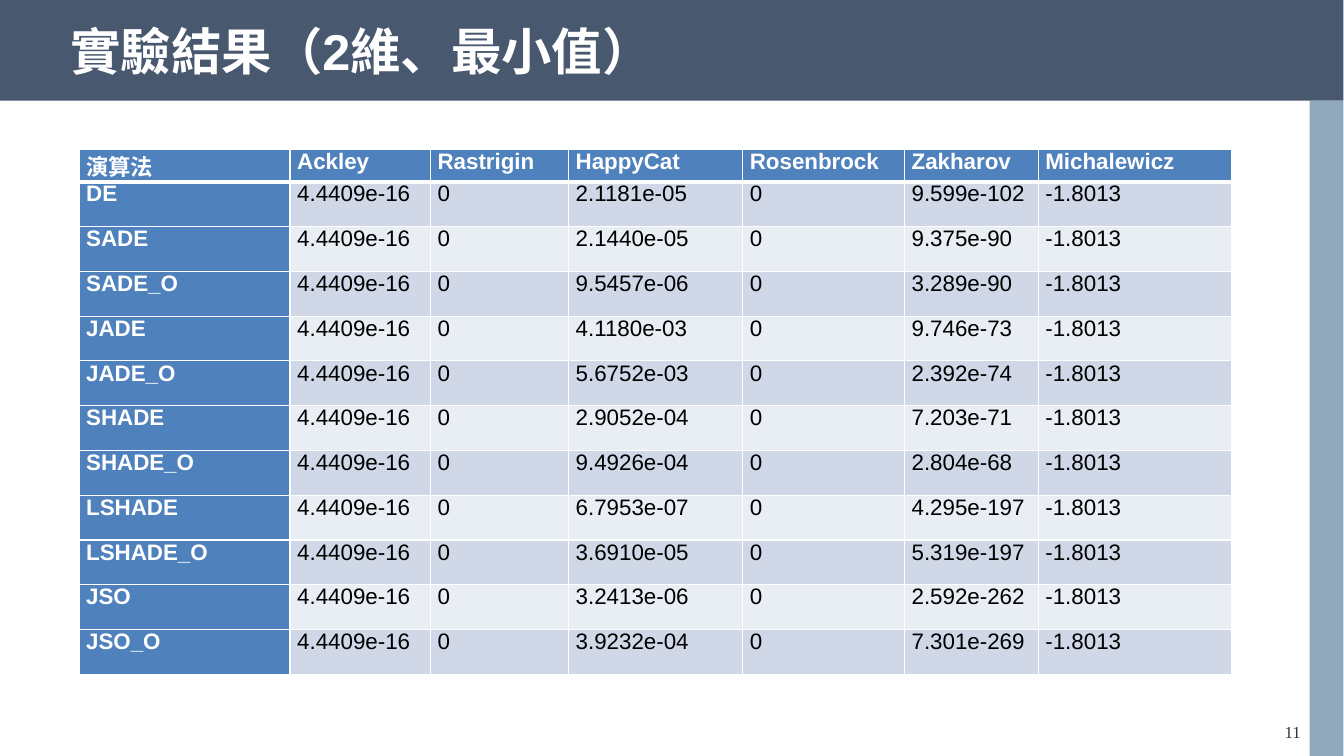
"""Build the slide of two-dimensional minimum values per algorithm."""
from dataclasses import dataclass

from lxml import etree
from pptx import Presentation
from pptx.dml.color import RGBColor
from pptx.enum.shapes import MSO_SHAPE
from pptx.enum.text import MSO_ANCHOR, MSO_AUTO_SIZE, PP_ALIGN
from pptx.oxml.ns import qn
from pptx.util import Pt

RECT = MSO_SHAPE.RECTANGLE
TOP, MIDDLE = MSO_ANCHOR.TOP, MSO_ANCHOR.MIDDLE
LEFT, CENTER = PP_ALIGN.LEFT, PP_ALIGN.CENTER
NO_FIT = MSO_AUTO_SIZE.NONE

TITLE = "實驗結果（2維、最小值）"
PAGE = "11"
HEADER = ("演算法", "Ackley", "Rastrigin", "HappyCat", "Rosenbrock",
          "Zakharov", "Michalewicz")
ACKLEY, RASTRIGIN, ROSENBROCK, MICHALEWICZ = "4.4409e-16", "0", "0", "-1.8013"
HAPPYCAT_ZAKHAROV = {
    "DE": ("2.1181e-05", "9.599e-102"),
    "SADE": ("2.1440e-05", "9.375e-90"),
    "SADE_O": ("9.5457e-06", "3.289e-90"),
    "JADE": ("4.1180e-03", "9.746e-73"),
    "JADE_O": ("5.6752e-03", "2.392e-74"),
    "SHADE": ("2.9052e-04", "7.203e-71"),
    "SHADE_O": ("9.4926e-04", "2.804e-68"),
    "LSHADE": ("6.7953e-07", "4.295e-197"),
    "LSHADE_O": ("3.6910e-05", "5.319e-197"),
    "JSO": ("3.2413e-06", "2.592e-262"),
    "JSO_O": ("3.9232e-04", "7.301e-269"),
}

SLIDE_W, SLIDE_H = 960.5, 540
BAND_H, SIDE_X = 72, 936
TABLE_X, TABLE_Y = 56.4, 106.8
COL_WIDTHS = (150.8, 100.4, 98.7, 124.5, 115.6, 95.6, 138.2)
HEADER_H, ROW_H = 22.6, 32


@dataclass(frozen=True)
class Theme:
    """Colours, fonts and type sizes."""
    band: str = "48586F"
    side: str = "25557B"
    side_alpha: int = 51
    head: str = "4F81BD"
    stripes: tuple = ("E9EDF4", "D0D8E8")
    white: str = "FFFFFF"
    black: str = "000000"
    page: str = "333333"
    latin: str = "Arial"
    cjk: str = "Noto Sans CJK SC"
    serif: str = "Times New Roman"
    title_size: int = 36
    cell_size: int = 16
    page_size: int = 12


T = Theme()


def rgb(code):
    """Turn a hex code into a colour."""
    return RGBColor.from_string(code)


def write(tf, text, size, color, font=T.latin, bold=False, align=LEFT,
          after=0, spacing=None):
    """Put one formatted paragraph into a text frame."""
    p = tf.paragraphs[0]
    p.alignment, p.space_after, p.line_spacing = align, Pt(after), spacing
    r = p.add_run()
    r.text = text
    r.font.name, r.font.size, r.font.bold = font, Pt(size), bold
    r.font.color.rgb = rgb(color)
    etree.SubElement(r.font._element, qn("a:ea"), typeface=T.cjk)


def set_margins(box, x, y):
    """Set equal side insets and equal top and bottom insets."""
    box.margin_left = box.margin_right = Pt(x)
    box.margin_top = box.margin_bottom = Pt(y)


def add_bar(slide, x, y, w, h, color, alpha=None):
    """Add a plain rectangle, optionally see-through."""
    sp = slide.shapes.add_shape(RECT, Pt(x), Pt(y), Pt(w), Pt(h))
    sp.shadow.inherit = False
    sp.line.fill.background()
    sp.fill.solid()
    sp.fill.fore_color.rgb = rgb(color)
    if alpha:
        clr = sp.element.spPr.find(".//" + qn("a:srgbClr"))
        etree.SubElement(clr, qn("a:alpha"), val=str(alpha * 1000))


def set_borders(cell, top=1, bottom=1):
    """Draw white borders of the given widths around a cell."""
    tcPr = cell._tc.get_or_add_tcPr()
    sides = (("a:lnL", 1), ("a:lnR", 1), ("a:lnT", top), ("a:lnB", bottom))
    for i, (tag, width) in enumerate(sides):
        ln = etree.Element(qn(tag), w=str(Pt(width)))
        fill = etree.SubElement(ln, qn("a:solidFill"))
        etree.SubElement(fill, qn("a:srgbClr"), val=T.white)
        tcPr.insert(i, ln)


def add_title(slide):
    """Format the title placeholder and bring it to the front."""
    sp = slide.shapes.title
    sp.left, sp.top, sp.width, sp.height = Pt(50.4), Pt(12.2), Pt(892), Pt(53.3)
    tf = sp.text_frame
    tf.auto_size, tf.vertical_anchor, tf.word_wrap = NO_FIT, MIDDLE, True
    set_margins(tf, 0, 0)
    write(tf, TITLE, T.title_size, T.white, bold=True, spacing=0.9)
    sp.element.getparent().append(sp.element)


def add_results(slide):
    """Add the table of results."""
    rows = [HEADER] + [
        (name, ACKLEY, RASTRIGIN, happycat, ROSENBROCK, zakharov, MICHALEWICZ)
        for name, (happycat, zakharov) in HAPPYCAT_ZAKHAROV.items()]
    height = HEADER_H + ROW_H * (len(rows) - 1)
    table = slide.shapes.add_table(
        len(rows), len(HEADER), Pt(TABLE_X), Pt(TABLE_Y),
        Pt(sum(COL_WIDTHS)), Pt(height)).table
    table.first_col = True
    for col, width in zip(table.columns, COL_WIDTHS):
        col.width = Pt(width)
    for i, values in enumerate(rows):
        table.rows[i].height = Pt(ROW_H if i else HEADER_H)
        for j, text in enumerate(values):
            cell = table.cell(i, j)
            head = i == 0 or j == 0
            cell.fill.solid()
            cell.fill.fore_color.rgb = rgb(T.head if head else T.stripes[i % 2])
            cell.vertical_anchor = TOP
            set_margins(cell, 5.2, 0)
            set_borders(cell, top=3 if i == 1 else 1, bottom=1 if i else 3)
            write(cell.text_frame, text, T.cell_size,
                  T.white if head else T.black, bold=head, after=3,
                  font=T.cjk if i == j == 0 else T.latin)


def add_page_number(slide):
    """Add the page number at the lower right."""
    tf = slide.shapes.add_textbox(Pt(880), Pt(512), Pt(87.8), Pt(20)).text_frame
    tf.word_wrap = True
    set_margins(tf, 7.2, 3.6)
    write(tf, PAGE, T.page_size, T.page, font=T.serif, align=CENTER)


def main():
    """Build and save the slide."""
    prs = Presentation()
    prs.slide_width, prs.slide_height = Pt(SLIDE_W), Pt(SLIDE_H)
    s = prs.slides.add_slide(prs.slide_layouts[5])
    add_bar(s, 0, 0, 960, BAND_H, T.band)
    add_bar(s, SIDE_X, BAND_H, 24, SLIDE_H - BAND_H, T.side, T.side_alpha)
    add_page_number(s)
    add_title(s)
    add_results(s)
    prs.save("out.pptx")


if __name__ == "__main__":
    main()
